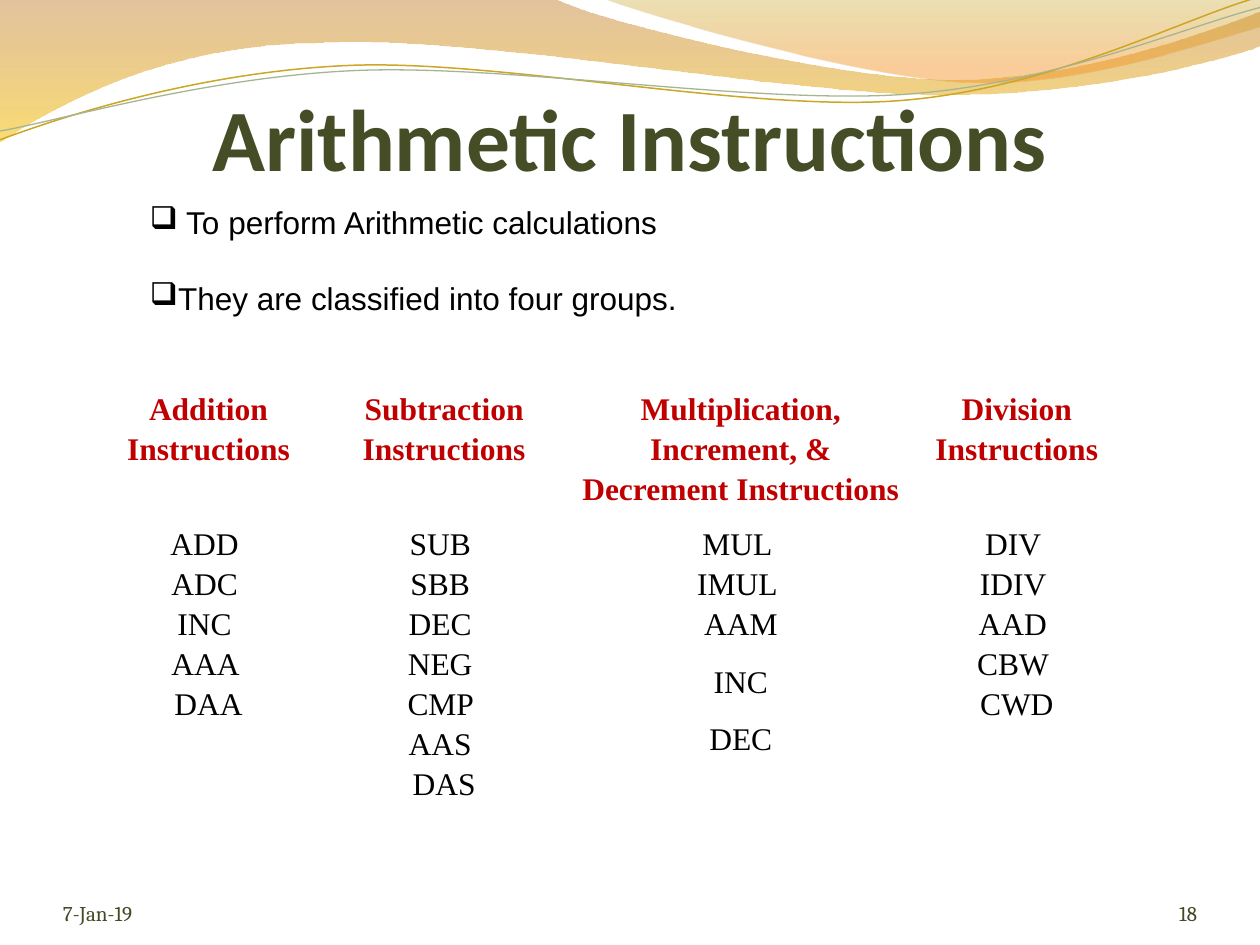
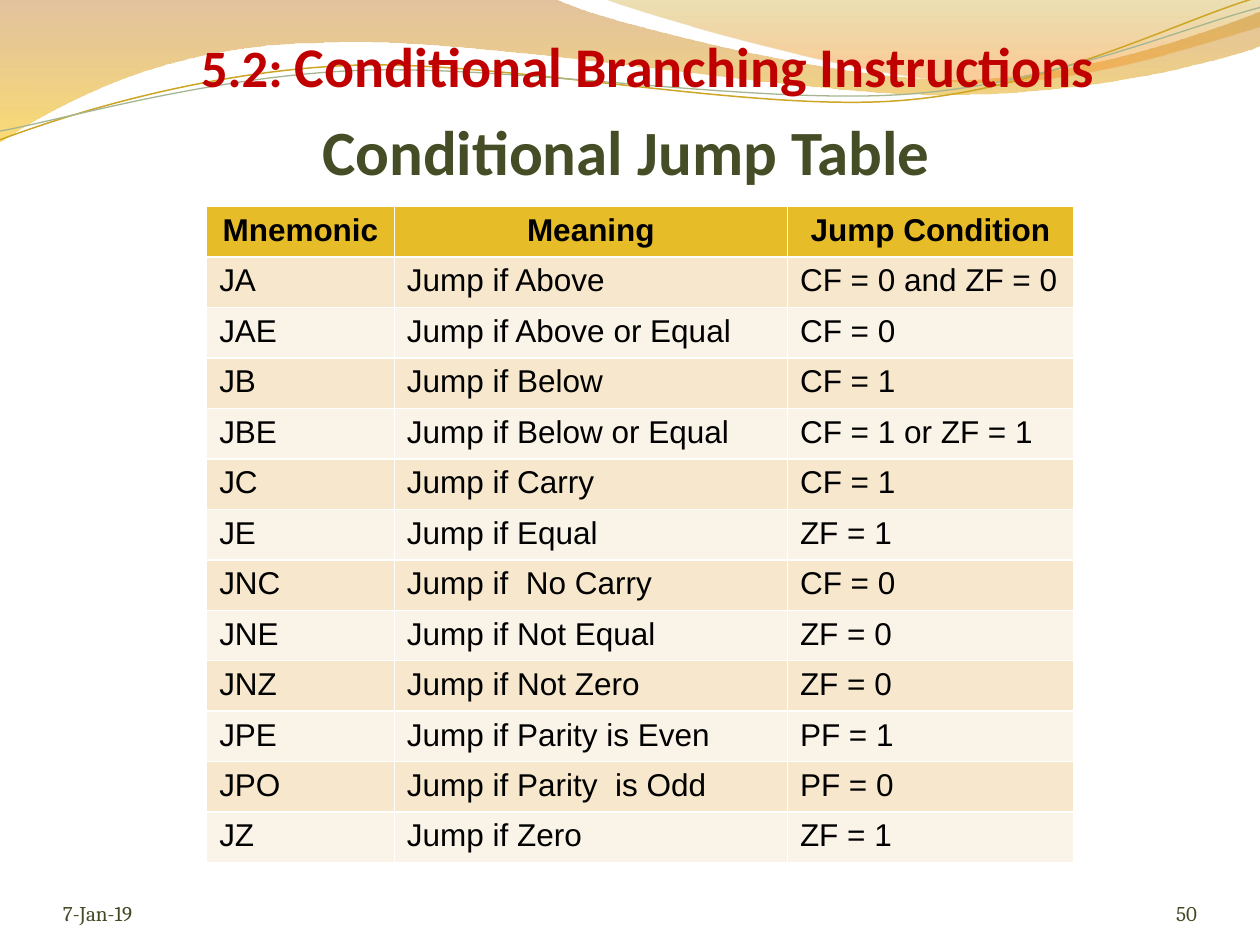
from lxml.etree import SubElement
from pptx import Presentation
from pptx.dml.color import RGBColor
from pptx.enum.text import MSO_ANCHOR, PP_ALIGN
from pptx.oxml.ns import qn
from pptx.util import Inches, Pt

BLACK = RGBColor(0x00, 0x00, 0x00)
WHITE = RGBColor(0xFF, 0xFF, 0xFF)
RED = RGBColor(0xC0, 0x00, 0x00)
OLIVE = RGBColor(0x44, 0x4D, 0x26)
FOOTER_GREEN = RGBColor(0x41, 0x4A, 0x24)
BROWN = RGBColor(0xC0, 0x7A, 0x28)
YELLOW = RGBColor(0xF7, 0xBF, 0x00)
OCHRE = RGBColor(0xC0, 0x97, 0x09)
ORANGE = RGBColor(0xF5, 0x93, 0x20)
GOLD_LINE = RGBColor(0xCC, 0xA6, 0x24)
SAGE_LINE = RGBColor(0xA5, 0xB5, 0x92)
HEADER_GOLD = RGBColor(0xE7, 0xBC, 0x29)
ROW_DARK = RGBColor(0xF6, 0xE7, 0xCD)
ROW_LIGHT = RGBColor(0xFA, 0xF3, 0xE8)

COLUMNS, ROWS = 100, 75  # grid of the slide, each cell a tenth of an inch

# Each outline: a start point, then lines (one point) and curves (three points), in inches
LEFT_WAVE = [(0, -0.01), [(4.4, -0.01)],
             [(4.76, 0.17), (6.64, 0.63), (7.58, 0.63)],
             [(8.53, 0.63), (9.58, 0.26), (10, 0.09)], [(10.01, 0.36)],
             [(9.83, 0.44), (8.7, 0.76), (7.46, 0.75)],
             [(6.22, 0.75), (3.82, 0.28), (2.57, 0.34)],
             [(1.29, 0.35), (0.46, 0.83), (-0.01, 1.13)]]
RIGHT_WAVE = [(4.79, -0.01),
              [(5.09, 0.11), (6.82, 0.62), (7.69, 0.65)],
              [(8.56, 0.69), (9.61, 0.32), (10, 0.21)], [(10, 0)]]
GOLD_CURVE = [(0, 1.11),
              [(0.48, 0.93), (1.58, 0.57), (2.77, 0.52)],
              [(3.95, 0.47), (5.93, 0.89), (7.13, 0.8)],
              [(8.33, 0.71), (9.38, 0.15), (9.98, -0.02)]]
SAGE_CURVE = [(0, 1.04),
              [(0.47, 0.96), (1.64, 0.61), (2.83, 0.56)],
              [(4.03, 0.51), (5.97, 0.83), (7.17, 0.75)],
              [(8.36, 0.67), (9.41, 0.21), (10, 0.06)]]

INSTRUCTION_GROUPS = [
    ("Addition Instructions", ["ADD \nADC \nINC \nAAA \nDAA"]),
    ("Subtraction Instructions", ["SUB \nSBB \nDEC \nNEG \nCMP \nAAS \nDAS"]),
    ("Multiplication, Increment, & Decrement Instructions",
     ["MUL \nIMUL \nAAM", "INC", "DEC"]),
    ("Division Instructions", ["DIV \nIDIV \nAAD \nCBW \nCWD"]),
]
JUMPS = [
    ("Mnemonic", "Meaning", "Jump Condition"),
    ("JA", "Jump if Above", "CF = 0 and ZF = 0"),
    ("JAE", "Jump if Above or Equal", "CF = 0"),
    ("JB", "Jump if Below", "CF = 1"),
    ("JBE", "Jump if Below or Equal", "CF = 1 or ZF = 1"),
    ("JC", "Jump if Carry", "CF = 1"),
    ("JE", "Jump if Equal", "ZF = 1"),
    ("JNC", "Jump if  No Carry", "CF = 0"),
    ("JNE", "Jump if Not Equal", "ZF = 0"),
    ("JNZ", "Jump if Not Zero", "ZF = 0"),
    ("JPE", "Jump if Parity is Even", "PF = 1"),
    ("JPO", "Jump if Parity  is Odd", "PF = 0"),
    ("JZ", "Jump if Zero", "ZF = 1"),
]


def grid(*cells):
    """Turn counts of grid cells into lengths."""
    return [Inches(count / 10) for count in cells]


def write(para, text, font="Calibri", size=18, color=BLACK, bold=False,
          align=PP_ALIGN.LEFT, line=None, before=0, after=0):
    """Add formatted text to a paragraph; a newline becomes a line break."""
    para.alignment = align
    para.space_before, para.space_after = Pt(before), Pt(after)
    if line:
        para.line_spacing = line
    for number, part in enumerate(text.split("\n")):
        if number:
            para.add_line_break()
        span = para.add_run()
        span.text = part
        span.font.name, span.font.size = font, Pt(size)
        span.font.bold, span.font.color.rgb = bold, color


def add_text_box(page, place, margins=(0, 0, 0, 0), anchor=MSO_ANCHOR.BOTTOM):
    """Add an empty wrapping box on the grid and return its text frame."""
    frame = page.shapes.add_textbox(*grid(*place)).text_frame
    frame.word_wrap = True
    frame.vertical_anchor = anchor
    (frame.margin_left, frame.margin_top,
     frame.margin_right, frame.margin_bottom) = grid(*margins)
    return frame


def add_title(page, place, *parts, color=OLIVE):
    """Add a bold centred heading made of (text, size) parts."""
    frame = add_text_box(page, place, margins=(0, 0.5, 0, 0))
    for text, size in parts:
        write(frame.paragraphs[0], text, size=size, color=color, bold=True,
              align=PP_ALIGN.CENTER)


def add_footer(page, number):
    """Add the date at the left and the page number at the right."""
    for place, text, align in (((5, 69.5, 23.3, 4), "7-Jan-19", PP_ALIGN.LEFT),
                               ((86.7, 69.5, 8.3, 4), number, PP_ALIGN.RIGHT)):
        write(add_text_box(page, place).paragraphs[0], text, font="Cambria",
              size=12, color=FOOTER_GREEN, align=align)


def add_outline(page, outline, close):
    """Draw a freeform without shadow, bending its curved segments."""
    (start_x, start_y), *segments = outline
    builder = page.shapes.build_freeform(Inches(start_x), Inches(start_y))
    builder.add_line_segments([(Inches(x), Inches(y)) for *_, (x, y) in segments],
                              close=close)
    shape = builder.convert_to_shape()
    shape.shadow.inherit = False
    for node, segment in zip(list(shape.element.iter(qn("a:lnTo"))), segments):
        if len(segment) == 3:
            node.tag = qn("a:cubicBezTo")
            node.remove(node[0])
            for x, y in segment:
                SubElement(node, qn("a:pt"), x=str(Inches(x) - shape.left),
                           y=str(Inches(y) - shape.top))
    return shape


def add_wave(page, outline, *stops):
    """Draw a wave filled downwards with (position, colour, opacity %) stops."""
    shape = add_outline(page, outline, close=True)
    shape.line.fill.background()
    shape.fill.gradient()
    shape.fill.gradient_angle = 270
    for stop, (position, color, _) in zip(shape.fill.gradient_stops, stops):
        stop.position, stop.color.rgb = position, color
    for node, (_, _, opacity) in zip(shape.element.iter(qn("a:srgbClr")), stops):
        SubElement(node, qn("a:alpha"), val=str(opacity * 1000))


def add_curve(page, outline, color, width):
    """Draw an open curved line."""
    shape = add_outline(page, outline, close=False)
    shape.fill.background()
    shape.line.color.rgb, shape.line.width = color, Pt(width)


def add_page(deck):
    """Add a blank page with the waves across its top."""
    page = deck.slides.add_slide(deck.slide_layouts[6])
    page.background.fill.solid()
    page.background.fill.fore_color.rgb = WHITE
    add_wave(page, LEFT_WAVE, (0, BROWN, 45), (1, YELLOW, 55))
    add_wave(page, RIGHT_WAVE, (0, OCHRE, 30), (0.8, ORANGE, 45))
    add_curve(page, GOLD_CURVE, GOLD_LINE, 0.85)
    add_curve(page, SAGE_CURVE, SAGE_LINE, 0.75)
    return page


def add_table(page, left, top, widths, heights):
    """Add a table without bands, sized by its columns and rows."""
    table = page.shapes.add_table(len(heights), len(widths),
                                  *grid(left, top, sum(widths), sum(heights))).table
    table.horz_banding = False
    for column, width in zip(table.columns, grid(*widths)):
        column.width = width
    for row, height in zip(table.rows, grid(*heights)):
        row.height = height
    return table


def add_borders(cell, width):
    """Set white borders on the four sides of a cell, before its fill."""
    properties = cell._tc.get_or_add_tcPr()
    for side in "LRTB":
        edge = SubElement(properties, qn("a:ln" + side), w=str(Pt(width)))
        SubElement(SubElement(edge, qn("a:solidFill")), qn("a:srgbClr"), val=str(WHITE))


def add_bullets(page, place, *lines, gap):
    """Add a list with box bullets and a gap between its lines."""
    frame = add_text_box(page, place, margins=(1, 0.5, 1, 0.5), anchor=MSO_ANCHOR.TOP)
    for number, text in enumerate(lines):
        para = frame.add_paragraph() if number else frame.paragraphs[0]
        write(para, text, font="Arial", before=gap if number else 0)
        properties = para._p.get_or_add_pPr()
        SubElement(properties, qn("a:buFont"), typeface="Wingdings", charset="2")
        SubElement(properties, qn("a:buChar"), char="q")


def add_group_table(page):
    """List the four groups of instructions under their headings."""
    table = add_table(page, 8.6, 30.5, (15.9, 21.5, 25.6, 18.2), (10, 22.8))
    table.first_row = False
    for column, (heading, codes) in enumerate(INSTRUCTION_GROUPS):
        for row, (lines, color, after) in enumerate((([heading], RED, 4),
                                                     (codes, BLACK, 10))):
            cell = table.cell(row, column)
            add_borders(cell, 1.5)
            cell.fill.background()
            (cell.margin_left, cell.margin_top,
             cell.margin_right, cell.margin_bottom) = grid(*[0.2] * 4)
            frame = cell.text_frame
            for number, text in enumerate(lines):
                para = frame.add_paragraph() if number else frame.paragraphs[0]
                write(para, text, font="Times New Roman", color=color, bold=row == 0,
                      align=PP_ALIGN.CENTER, line=1.15, after=after)


def add_jump_table(page):
    """Show the conditional jumps in rows of two alternating colours."""
    table = add_table(page, 16.4, 16.4, (14.9, 31.2, 22.7), [3.9] * len(JUMPS))
    for row, texts in enumerate(JUMPS):
        header = row == 0
        for column, text in enumerate(texts):
            cell = table.cell(row, column)
            cell.fill.solid()
            cell.fill.fore_color.rgb = HEADER_GOLD if header else (ROW_LIGHT, ROW_DARK)[row % 2]
            write(cell.text_frame.paragraphs[0], text, font="Arial", bold=header,
                  align=PP_ALIGN.CENTER if header else PP_ALIGN.LEFT)


def build_arithmetic_page(deck):
    """Build the page on arithmetic instructions."""
    page = add_page(deck)
    add_footer(page, "18")
    add_title(page, (5, 5.5, 90, 9.5), ("Arithmetic Instructions", 50))
    add_group_table(page)
    add_bullets(page, (10.9, 15.6, 75.8, 10.1), " To perform Arithmetic calculations",
                "They are classified into four groups.", gap=22)


def build_jump_page(deck):
    """Build the page with the conditional jump table."""
    page = add_page(deck)
    add_title(page, (4.7, 8.6, 90, 6.3), ("Conditional Jump Table", 36))
    add_jump_table(page)
    add_footer(page, "50")
    add_title(page, (0, 0.8, 103.9, 7), ("5.2: ", 30),
              ("Conditional Branching Instructions ", 32), color=RED)


def main():
    """Build and save the deck."""
    deck = Presentation()
    deck.slide_width, deck.slide_height = grid(COLUMNS, ROWS)
    build_arithmetic_page(deck)
    build_jump_page(deck)
    deck.save("out.pptx")


main()
